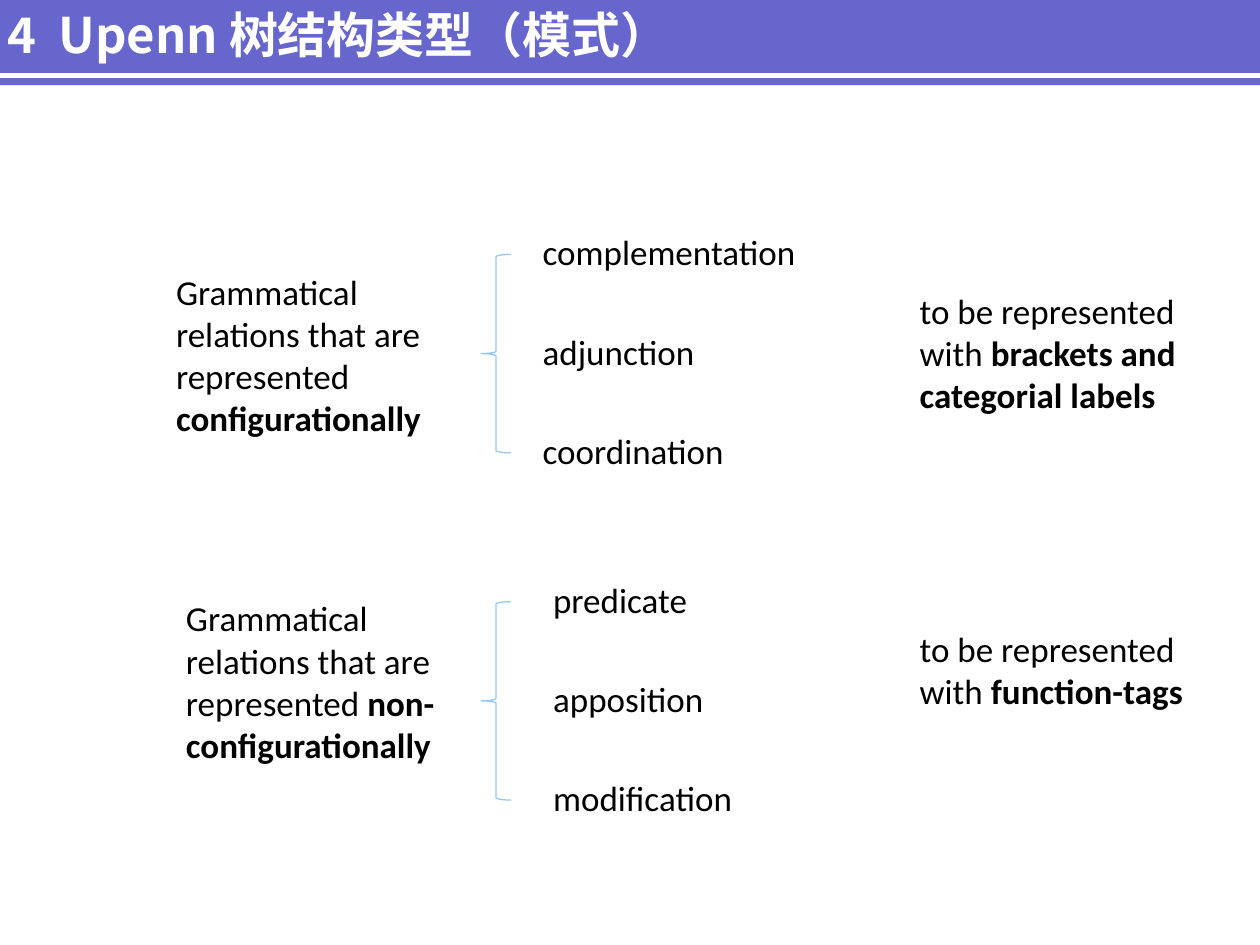
"""Build the slide on Upenn tree structure types."""
from dataclasses import dataclass

from lxml import etree
from pptx import Presentation
from pptx.dml.color import RGBColor
from pptx.enum.shapes import MSO_CONNECTOR, MSO_SHAPE
from pptx.enum.text import MSO_ANCHOR, MSO_AUTO_SIZE, PP_ALIGN
from pptx.oxml.ns import qn
from pptx.util import Cm, Pt

RECT = MSO_SHAPE.RECTANGLE
BRACE = MSO_SHAPE.LEFT_BRACE
STRAIGHT = MSO_CONNECTOR.STRAIGHT
MIDDLE = MSO_ANCHOR.MIDDLE
NO_FIT = MSO_AUTO_SIZE.NONE
LEFT = PP_ALIGN.LEFT

COLORS = {"band": "6666CC", "white": "FFFFFF", "text": "000000", "brace": "93C7FC"}
TITLE_FONT = "Noto Sans CJK SC"
BODY_FONT = "Calibri"
ITEM_STEP = 2.0


@dataclass
class Label:
    left: float
    top: float
    width: float
    height: float
    plain: str
    bold: str = ""


@dataclass
class Group:
    relation: Label
    brace_top: float
    items_left: float
    items: tuple[str, ...]
    notation: Label


GROUPS = (
    Group(
        Label(3.3, 5.33, 6, 3.66, "Grammatical relations that are represented ", "configurationally"),
        5.13, 10.69, ("complementation", "adjunction", "coordination"),
        Label(18.29, 5.71, 6.2, 2.8, "to be represented with ", "brackets and categorial labels"),
    ),
    Group(
        Label(3.5, 11.91, 6, 3.66, "Grammatical relations that are represented ", "non-configurationally"),
        12.13, 10.9, ("predicate", "apposition", "modification"),
        Label(18.29, 12.52, 6.2, 1.96, "to be represented with ", "function-tags"),
    ),
)


def color(name: str) -> RGBColor:
    return RGBColor.from_string(COLORS[name])


def add_header(s) -> None:
    band = s.shapes.add_shape(RECT, Cm(-0.1), Cm(-0.08), Cm(25.5), Cm(1.8))
    band.shadow.inherit = False
    band.fill.solid()
    band.fill.fore_color.rgb = color("band")
    band.line.fill.background()

    rule = s.shapes.add_connector(STRAIGHT, Cm(-0.1), Cm(1.52), Cm(25.4), Cm(1.52))
    rule.line.color.rgb = color("white")
    rule.line.width = Pt(3)
    etree.SubElement(rule._element.spPr, qn("a:effectLst"))


def add_title(s, text: str) -> None:
    title = s.shapes.title
    title._element.getparent().append(title._element)
    title.left, title.top, title.width, title.height = Cm(-0.1), Cm(0.13), Cm(22.28), Cm(1.09)
    tf = title.text_frame
    tf.text = text
    tf.auto_size = NO_FIT
    tf.vertical_anchor = MIDDLE
    p = tf.paragraphs[0]
    p.alignment = LEFT
    p.font.size = Pt(28)
    p.font.bold = True
    p.font.color.rgb = color("white")
    p.font.name = TITLE_FONT
    etree.SubElement(p.font._element, qn("a:ea"), typeface=TITLE_FONT)


def add_label(s, label: Label) -> None:
    box = s.shapes.add_textbox(Cm(label.left), Cm(label.top), Cm(label.width), Cm(label.height))
    tf = box.text_frame
    tf.word_wrap = True
    p = tf.paragraphs[0]
    p.font.size = Pt(20)
    p.font.name = BODY_FONT
    p.font.color.rgb = color("text")
    p.add_run().text = label.plain
    if label.bold:
        r = p.add_run()
        r.text = label.bold
        r.font.bold = True


def add_group(s, group: Group) -> None:
    add_label(s, group.relation)
    brace = s.shapes.add_shape(BRACE, Cm(9.7), Cm(group.brace_top), Cm(0.6), Cm(2 * ITEM_STEP))
    brace.shadow.inherit = False
    brace.fill.background()
    brace.line.color.rgb = color("brace")
    brace.line.width = Pt(0.75)
    for i, item in enumerate(group.items):
        top = group.brace_top - 0.6 + i * ITEM_STEP
        add_label(s, Label(group.items_left, top, 6.2, 1.12, item))
    add_label(s, group.notation)


def main() -> None:
    prs = Presentation()
    prs.slide_width, prs.slide_height = Cm(25.4), Cm(19.05)
    s = prs.slides.add_slide(prs.slide_layouts[5])
    add_header(s)
    add_title(s, "4  Upenn 树结构类型（模式）")
    for group in GROUPS:
        add_group(s, group)
    prs.save("out.pptx")


if __name__ == "__main__":
    main()
